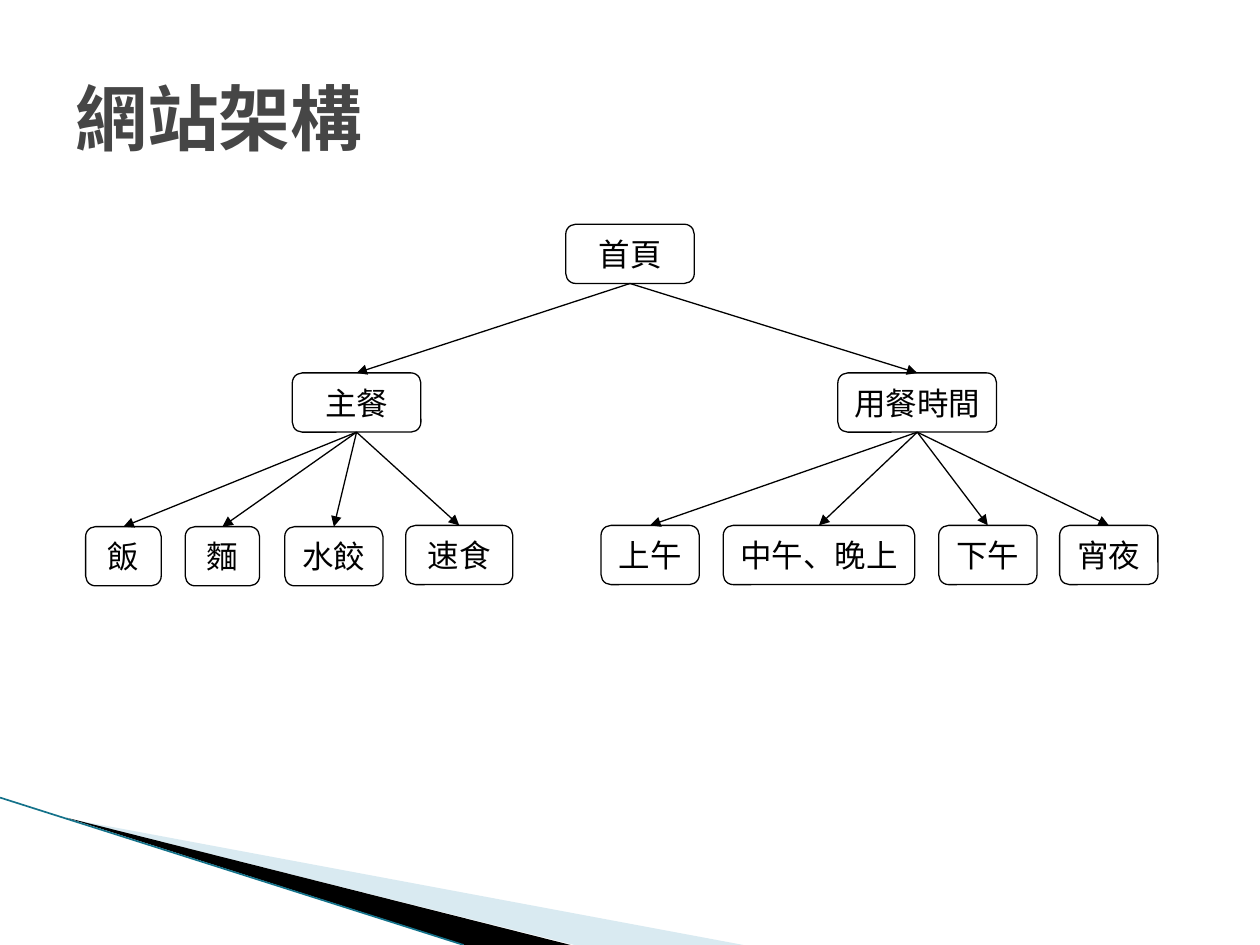
from lxml import etree
from pptx import Presentation
from pptx.dml.color import RGBColor
from pptx.enum import shapes as sh, text as tx
from pptx.oxml import ns
from pptx.util import Inches, Pt

BLACK = RGBColor(0, 0, 0)
GRAY = RGBColor(0x46, 0x46, 0x46)
PALE = RGBColor(0xD9, 0xEA, 0xF1)
TEAL = RGBColor(0x14, 0x72, 0x8A)
FONT = "Courier New"
BOX_H = 0.47
TOP, BOTTOM = 0, 2  # connection sites of a box

prs = Presentation()
prs.slide_width, prs.slide_height = Inches(10), Inches(7.5)
slide = prs.slides.add_slide(prs.slide_layouts[6])
items = slide.shapes


def write(shape, words, size=18, color=BLACK, bold=False, align=tx.PP_ALIGN.CENTER):
    """Put one formatted, vertically centred line of text in a shape."""
    frame = shape.text_frame
    frame.word_wrap = True
    frame.vertical_anchor = tx.MSO_ANCHOR.MIDDLE
    para = frame.paragraphs[0]
    para.alignment = align
    run = para.add_run()
    run.text = words
    run.font.name, run.font.size = FONT, Pt(size)
    run.font.bold, run.font.color.rgb = bold, color


def link(start, end, color=BLACK, width=0.75):
    """Draw a plain straight line between two points in inches."""
    line = items.add_connector(sh.MSO_CONNECTOR.STRAIGHT,
                               *[Inches(v) for v in (*start, *end)])
    line.line.color.rgb, line.line.width = color, Pt(width)
    etree.SubElement(line._element.spPr, ns.qn("a:effectLst"))
    return line


# Corner decoration
wedges = [
    (PALE, [(0.55, 6.5), (5.9, 7.5), (4.56, 7.5)]),
    (BLACK, [(0.53, 6.49), (4.53, 7.5), (3.69, 7.5)]),
]
for color, points in wedges:
    pen = items.build_freeform(*[Inches(v) for v in points[0]], scale=1.0)
    pen.add_line_segments([(Inches(x), Inches(y)) for x, y in points[1:]])
    wedge = pen.convert_to_shape()
    wedge.shadow.inherit = False
    wedge.fill.solid()
    wedge.fill.fore_color.rgb = color
    wedge.line.fill.background()
link((0, 6.33), (3.68, 7.5), TEAL, 0.95)

title = items.add_textbox(Inches(0.5), Inches(0.3), Inches(9), Inches(1.25))
write(title, "網站架構", size=41, color=GRAY, bold=True, align=tx.PP_ALIGN.LEFT)

# Site tree: label, parent, left, top, width
nodes = [
    ("首頁", None, 4.49, 1.78, 1.02),
    ("主餐", "首頁", 2.32, 2.96, 1.02),
    ("用餐時間", "首頁", 6.65, 2.96, 1.26),
    ("飯", "主餐", 0.68, 4.18, 0.6),
    ("麵", "主餐", 1.47, 4.18, 0.59),
    ("水餃", "主餐", 2.26, 4.18, 0.78),
    ("速食", "主餐", 3.22, 4.17, 0.85),
    ("上午", "用餐時間", 4.77, 4.17, 0.78),
    ("中午、晚上", "用餐時間", 5.74, 4.17, 1.52),
    ("下午", "用餐時間", 7.45, 4.17, 0.78),
    ("宵夜", "用餐時間", 8.41, 4.17, 0.78),
]
boxes = {}
for label, parent, left, top, width in nodes:
    box = items.add_shape(sh.MSO_SHAPE.ROUNDED_RECTANGLE, Inches(left), Inches(top),
                          Inches(width), Inches(BOX_H))
    box.shadow.inherit = False
    box.fill.background()
    box.line.color.rgb, box.line.width = BLACK, Pt(0.75)
    frame = box.text_frame
    frame.margin_left = frame.margin_right = Inches(0.05)
    write(box, label)
    boxes[label] = box

for label, parent, *_ in nodes:
    if parent:
        arrow = link((0, 0), (1, 1))
        arrow.begin_connect(boxes[parent], BOTTOM)
        arrow.end_connect(boxes[label], TOP)
        etree.SubElement(arrow.line._get_or_add_ln(), ns.qn("a:tailEnd"), type="triangle")

prs.save("out.pptx")
